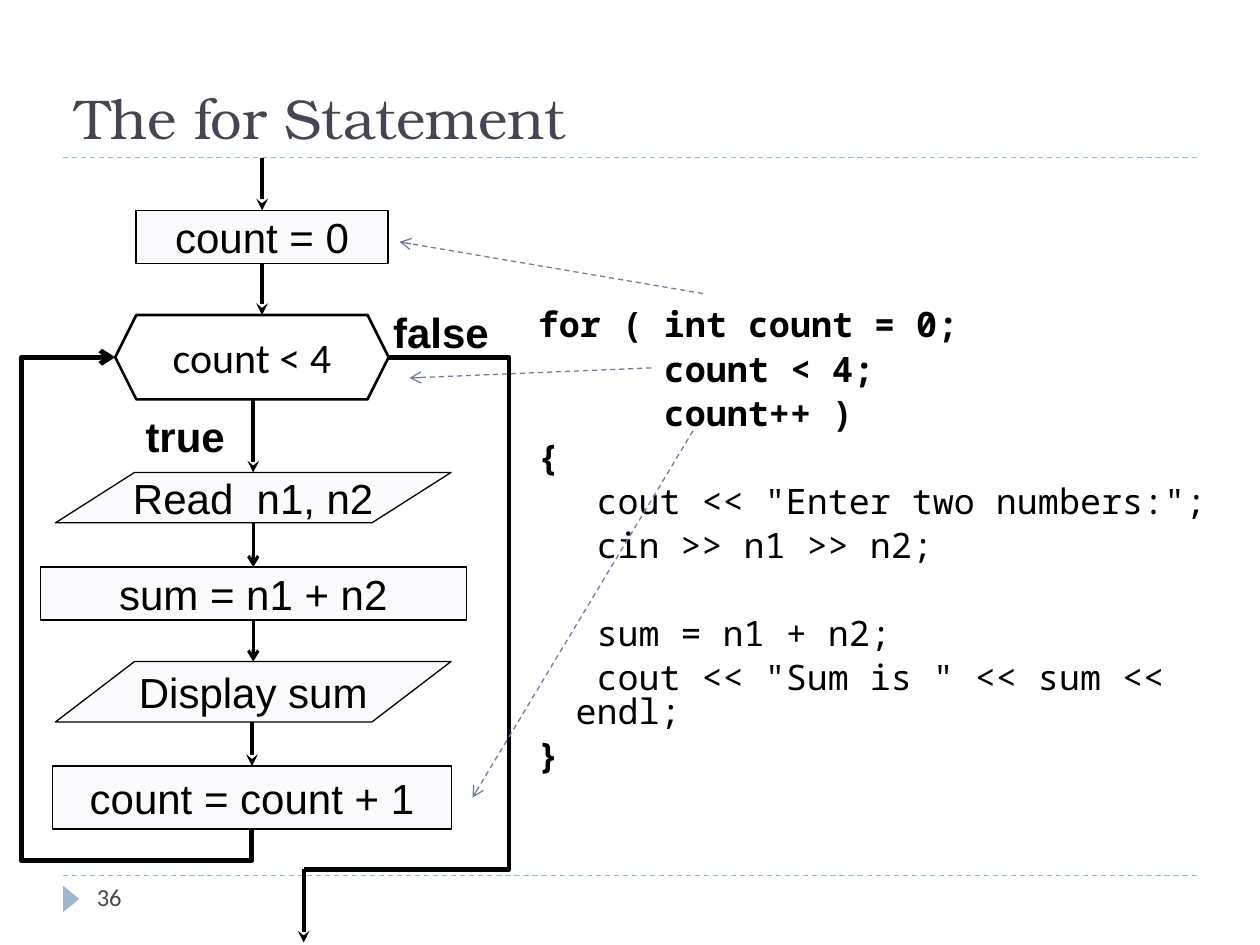
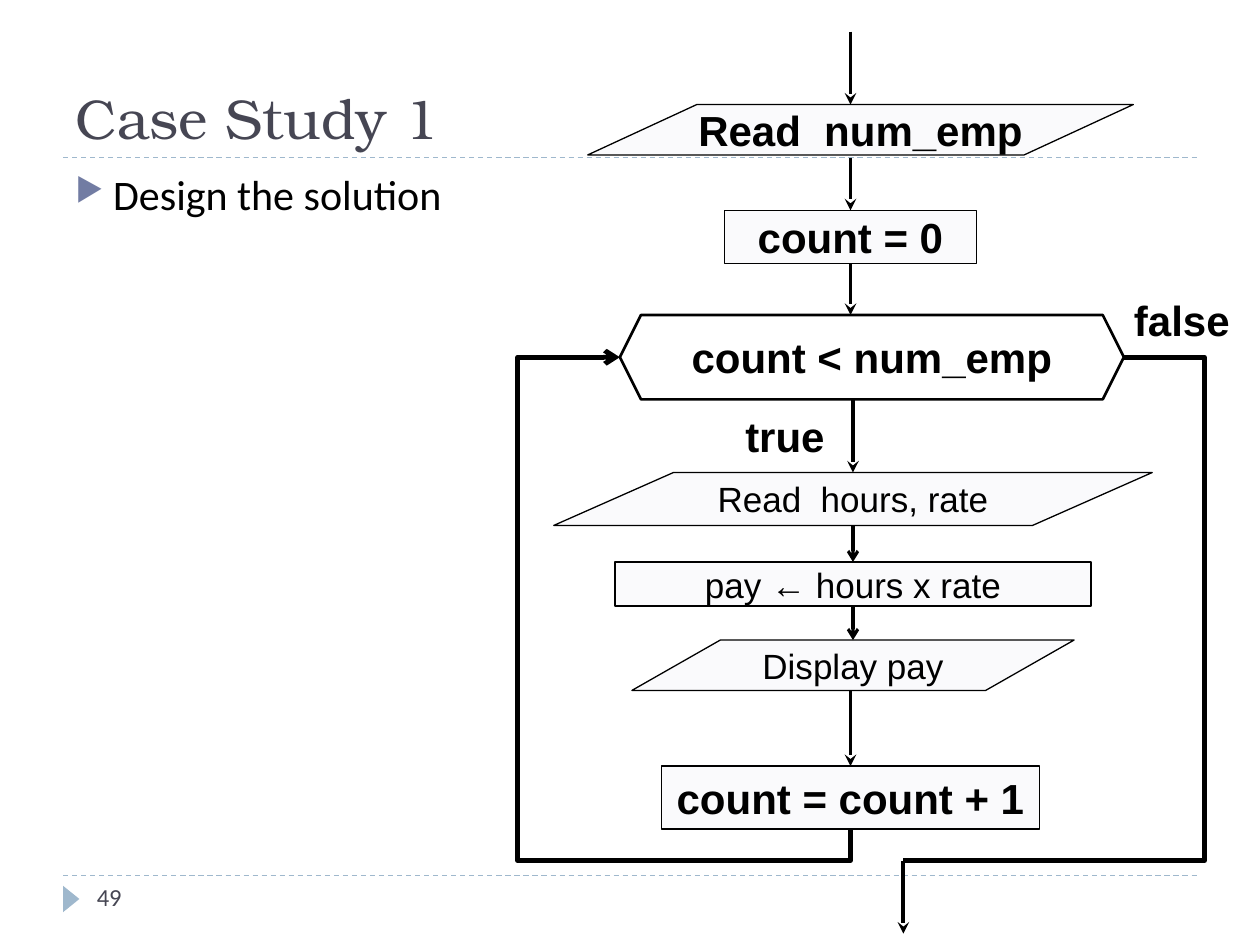
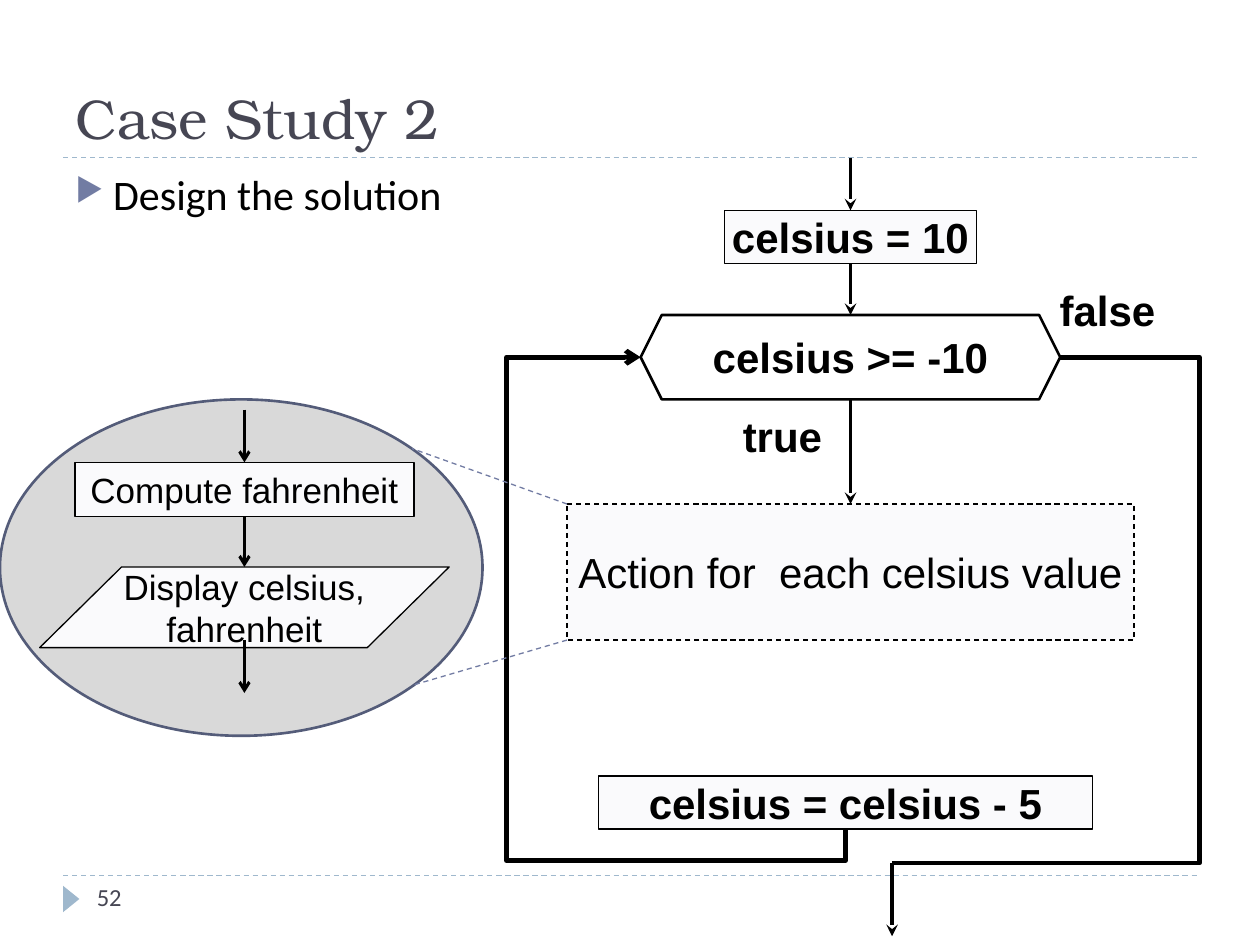
import lxml.etree
import pptx
import pptx.dml.color
import pptx.enum.dml
import pptx.enum.shapes
import pptx.enum.text
import pptx.oxml.ns
import pptx.util

Inches, Pt = pptx.util.Inches, pptx.util.Pt
qn = pptx.oxml.ns.qn
SHAPE = pptx.enum.shapes.MSO_SHAPE
CONNECTOR = pptx.enum.shapes.MSO_CONNECTOR
ANCHOR = pptx.enum.text.MSO_ANCHOR
ALIGN = pptx.enum.text.PP_ALIGN
DASH = pptx.enum.dml.MSO_LINE.DASH

COLORS = {"ink": "000000", "title": "464653", "rule": "9FB8CD", "accent": "727CA3",
          "box": "FAFAFC", "bubble": "D9D9D9", "bubble edge": "545C79"}
TITLE_FONT, BODY_FONT, FLOW_FONT, CODE_FONT = "TeX Gyre Bonum", "Calibri", "Arial", "Noto Sans Mono"

# kind: preset shape, fill, line width
NODES = {
    "process": (SHAPE.FLOWCHART_PROCESS, "box", 0.75),
    "action": (SHAPE.FLOWCHART_PROCESS, "box", 0.75),
    "data": (SHAPE.FLOWCHART_DATA, "box", 0.75),
    "test": (SHAPE.HEXAGON, None, 1.5),
    "label": (SHAPE.FLOWCHART_PROCESS, None, None),
}
# kind: colour, width, dashed, arrowhead
LINES = {
    "flow": ("ink", 2.25, False, "stealth"),
    "step": ("ink", 1.75, False, "arrow"),
    "loop": ("ink", 2.75, False, "arrow"),
    "exit": ("ink", 2.75, False, None),
    "note": ("accent", 0.75, True, "arrow"),
    "zoom": ("accent", 0.75, True, None),
    "rule": ("rule", 0.75, True, None),
}

FOR_HEAD = ["for ( int count = 0;", "      count < 4;", "      count++ )", "{"]
FOR_BODY = [' cout << "Enter two numbers:";', " cin >> n1 >> n2;", "",
            " sum = n1 + n2;", ' cout << "Sum is " << sum << endl;']
FOR_CODE = [*FOR_HEAD, *FOR_BODY, "}"]

# Steps are kind, text, top, width, height; all are centred on the x beside them.
SLIDES = [
    {
        "title": "The for Statement", "number": "36", "code": FOR_CODE,
        "bold": False, "test_font": BODY_FONT, "step_size": 24,
        "init": ("count = 0", 2.08), "test": ("count < 4", 2, 2.17),
        "update": ("count = count + 1", 2, 3.17, 0.5),
        "axis": 2.01,
        "steps": [("data", "Read  n1, n2", 3.75, 3.14, 0.4),
                  ("process", "sum = n1 + n2", 4.5, 3.38, 0.42),
                  ("data", "Display sum", 5.25, 3.14, 0.48)],
        "false": (3.5, 2.42), "lanes": (0.17, 4.04), "exit": (2.41, 6.9),
        "notes": [("note", 5.58, 2.33, 3.17, 1.92), ("note", 5.17, 2.92, 3.25, 3),
                  ("note", 5.5, 3.42, 3.75, 6.33)],
    },
    {
        "title": "Case Study 1", "number": "49", "bullet": "Design the solution",
        "bold": True, "test_font": FLOW_FONT, "step_size": 20,
        "input": ("Read  num_emp", 6.83, 4.33),
        "init": ("count = 0", 6.75), "test": ("count < num_emp", 6.92, 4),
        "update": ("count = count + 1", 6.75, 3, 0.5),
        "axis": 6.77,
        "steps": [("data", "Read  hours, rate", 3.75, 4.75, 0.42),
                  ("process", "pay ← hours x rate", 4.46, 3.78, 0.35),
                  ("data", "Display pay", 5.08, 3.51, 0.4)],
        "false": (9.38, 2.33), "lanes": (4.11, 9.56), "exit": (7.17, 6.83),
    },
    {
        "title": "Case Study 2", "number": "52", "bullet": "Design the solution",
        "bold": True, "test_font": FLOW_FONT, "step_size": 24,
        "init": ("celsius = 10", 6.75), "test": ("celsius >= -10", 6.75, 3.33),
        "update": ("celsius = celsius - 5", 6.71, 3.92, 0.42),
        "axis": 6.75,
        "steps": [("action", "Action for  each celsius value", 4, 4.5, 1.08)],
        "false": (8.79, 2.25), "lanes": (4.02, 9.52), "exit": (7.08, 6.85),
        "bubble": (0, 3.17, 3.83, 2.67), "bubble_axis": 1.94,
        "bubble_steps": [("process", "Compute fahrenheit", 3.67, 2.69, 0.43),
                         ("data", "Display celsius,\nfahrenheit", 4.5, 3.25, 0.64)],
        "notes": [("zoom", 4.5, 4, 3.27, 3.56), ("zoom", 4.5, 5.08, 3.27, 5.44)],
    },
]
TITLE_RULE, FOOTER_RULE = 1.25, 6.95
INPUT_TOP, INIT_TOP, TEST_TOP, TRUE_TOP, UPDATE_BOTTOM = 0.83, 1.67, 2.5, 3.25, 6.58
BOX_HEIGHT, INPUT_HEIGHT, TEST_HEIGHT, BOX_WIDTH = 0.42, 0.4, 0.67, 2
TEST_Y = TEST_TOP + TEST_HEIGHT / 2
LOOP_DROP, OUTER_ARROW, ENTRY_ARROW = 0.25, 0.58, 0.42


def rgb(name):
    return pptx.dml.color.RGBColor.from_string(COLORS[name])


def set_font(paragraph, face, size, color="ink", bold=False):
    font = paragraph.font
    font.name, font.size, font.bold = face, Pt(size), bold
    font.color.rgb = rgb(color)


def set_indent(paragraph, margin, first):
    properties = paragraph._p.get_or_add_pPr()
    properties.set("marL", str(Inches(margin)))
    properties.set("indent", str(Inches(first)))
    return properties


def add_shape(slide, preset, place, fill, edge=None, width=None):
    shape = slide.shapes.add_shape(preset, *map(Inches, place))
    shape.shadow.inherit = False
    if fill:
        shape.fill.solid()
        shape.fill.fore_color.rgb = rgb(fill)
    else:
        shape.fill.background()
    if width:
        shape.line.color.rgb = rgb(edge)
        shape.line.width = Pt(width)
    else:
        shape.line.fill.background()
    return shape


def add_node(slide, kind, text, x, top, width, height, size=24, bold=False, face=FLOW_FONT):
    """Draw a node centred on x; return what the arrows need to know of it."""
    preset, fill, edge_width = NODES[kind]
    node = add_shape(slide, preset, (x - width / 2, top, width, height), fill, "ink", edge_width)
    if kind == "action":
        node.line.dash_style = DASH
    frame = node.text_frame
    frame.text = text
    frame.word_wrap = kind == "test"
    frame.vertical_anchor = ANCHOR.MIDDLE
    for paragraph in frame.paragraphs:
        paragraph.alignment = ALIGN.CENTER
        set_font(paragraph, face, size, bold=bold)
    return {"shape": node, "x": x, "top": top, "bottom": top + height,
            "joins": kind in ("process", "action")}


def add_line(slide, kind, x1, y1, x2, y2, route=CONNECTOR.STRAIGHT):
    color, width, dashed, head = LINES[kind]
    line = slide.shapes.add_connector(route, *map(Inches, (x1, y1, x2, y2)))
    line.line.color.rgb = rgb(color)
    line.line.width = Pt(width)
    if dashed:
        line.line.dash_style = DASH
    properties = line._element.spPr
    if head:
        lxml.etree.SubElement(properties.find(qn("a:ln")), qn("a:tailEnd"), type=head)
    lxml.etree.SubElement(properties, qn("a:effectLst"))
    return line


def link(slide, kind, upper, lower, axis):
    """Draw an arrow down from one node to the next, joined to rectangles."""
    x = next((node["x"] for node in (upper, lower) if node["joins"]), axis)
    arrow = add_line(slide, kind, x, upper["bottom"], x, lower["top"])
    if upper["joins"]:
        arrow.begin_connect(upper["shape"], 2)
    if lower["joins"]:
        arrow.end_connect(lower["shape"], 0)


def enter(slide, kind, node, length):
    arrow = add_line(slide, kind, node["x"], node["top"] - length, node["x"], node["top"])
    arrow.end_connect(node["shape"], 0)


def bend(line, preset, *ratios):
    """Give a connector its preset route and the ratios that place its bends."""
    geometry = line._element.spPr.find(qn("a:prstGeom"))
    geometry.set("prst", preset)
    guides = geometry.find(qn("a:avLst"))
    if guides is None:
        guides = lxml.etree.SubElement(geometry, qn("a:avLst"))
    for number, ratio in enumerate(ratios, 1):
        lxml.etree.SubElement(guides, qn("a:gd"), name=f"adj{number}",
                              fmla=f"val {round(ratio * 100000)}")


def add_loop(slide, x, y, lane, end_x):
    """Lead from below the last step round the left lane back to the test."""
    width, height = y - TEST_Y, x - end_x
    left = (x + end_x - width) / 2
    top = (y + TEST_Y - height) / 2
    loop = add_line(slide, "loop", left, top, left + width, top + height, CONNECTOR.ELBOW)
    frame = loop._element.spPr.find(qn("a:xfrm"))
    frame.set("rot", str(90 * 60000))
    frame.set("flipH", "1")
    bend(loop, "bentConnector4", -LOOP_DROP / width, (x - lane) / height)


def add_exit(slide, x, lane, end_x, end_y):
    way_out = add_line(slide, "exit", x, TEST_Y, end_x, end_y, CONNECTOR.ELBOW)
    bend(way_out, "bentConnector3", (x - lane) / (x - end_x))
    add_line(slide, "flow", end_x, end_y, end_x, end_y + OUTER_ARROW)


def add_text_box(slide, place):
    frame = slide.shapes.add_textbox(*map(Inches, place)).text_frame
    frame.word_wrap = True
    return frame


def add_frame(slide, title, number):
    """Title, the two rules, the footer marker and the slide number."""
    heading = slide.shapes.title
    heading.left, heading.top, heading.width, heading.height = map(Inches, (0.5, 0.17, 9, 1.08))
    heading.text_frame.text = title
    heading.text_frame.vertical_anchor = ANCHOR.BOTTOM
    heading.text_frame.paragraphs[0].alignment = ALIGN.LEFT
    set_font(heading.text_frame.paragraphs[0], TITLE_FONT, 32, "title")
    for y in (TITLE_RULE, FOOTER_RULE):
        add_line(slide, "rule", 0.5, y, 9.5, y)
    marker = add_shape(slide, SHAPE.ISOSCELES_TRIANGLE, (0.46, 7.07, 0.21, 0.13), "rule")
    marker.rotation = 90
    footer = add_text_box(slide, (0.67, FOOTER_RULE, 2.17, 0.4))
    footer.text = number
    set_font(footer.paragraphs[0], BODY_FONT, 14, "title")


def add_code(slide, code):
    """Set the code; an empty line becomes space before the next one."""
    frame = add_text_box(slide, (4.17, 2.42, 5.83, 3.5))
    frame.text = "\n".join(filter(None, code))
    paragraphs = iter(frame.paragraphs)
    space = 0
    for text in code:
        if not text:
            space += 25
            continue
        paragraph = next(paragraphs)
        inner = text in FOR_BODY
        set_indent(paragraph, 0.3, 0 if inner else -0.3)
        paragraph.line_spacing = 0.8
        paragraph.space_before = Pt(space)
        set_font(paragraph, CODE_FONT, 20, bold=not inner)
        space = 6


def add_bullet(slide, text):
    frame = add_text_box(slide, (0.5, 1.33, 9, 5.4))
    frame.text = text
    paragraph = frame.paragraphs[0]
    paragraph.line_spacing = 0.9
    properties = set_indent(paragraph, 0.3, -0.3)
    color = lxml.etree.SubElement(properties, qn("a:buClr"))
    lxml.etree.SubElement(color, qn("a:srgbClr"), val=COLORS["accent"])
    lxml.etree.SubElement(properties, qn("a:buSzPct"), val="76000")
    lxml.etree.SubElement(properties, qn("a:buChar"), char="▶")
    set_font(paragraph, BODY_FONT, 24)


def add_steps(slide, steps, axis, size):
    nodes = [add_node(slide, kind, text, axis, *place, size) for kind, text, *place in steps]
    for upper, lower in zip(nodes, nodes[1:]):
        link(slide, "step", upper, lower, axis)
    return nodes


def add_flow(slide, content):
    """Draw the loop: start value, test, repeated steps, update and ways out."""
    bold, axis = content["bold"], content["axis"]
    text, init_x = content["init"]
    init = add_node(slide, "process", text, init_x, INIT_TOP, BOX_WIDTH, BOX_HEIGHT, bold=bold)
    text, test_x, test_width = content["test"]
    test = add_node(slide, "test", text, test_x, TEST_TOP, test_width, TEST_HEIGHT,
                    bold=bold, face=content["test_font"])
    steps = add_steps(slide, content["steps"], axis, content["step_size"])
    text, update_x, width, height = content["update"]
    update = add_node(slide, "process", text, update_x, UPDATE_BOTTOM - height, width, height,
                      bold=bold)
    for text, x, top in (("true", axis - 0.54, TRUE_TOP), ("false", *content["false"])):
        add_node(slide, "label", text, x, top, BOX_WIDTH, BOX_HEIGHT, bold=True)

    enter(slide, "flow", init, INIT_TOP - TITLE_RULE)
    link(slide, "flow", init, test, axis)
    link(slide, "flow", test, steps[0], axis)
    if not steps[-1]["joins"]:
        link(slide, "flow", steps[-1], update, axis)
    if "input" in content:
        text, x, width = content["input"]
        add_node(slide, "data", text, x, INPUT_TOP, width, INPUT_HEIGHT, bold=bold)
        add_line(slide, "flow", init_x, INPUT_TOP - OUTER_ARROW, init_x, INPUT_TOP)
    left_lane, right_lane = content["lanes"]
    add_loop(slide, update_x, UPDATE_BOTTOM, left_lane, test_x - test_width / 2)
    add_exit(slide, test_x + test_width / 2, right_lane, *content["exit"])


def add_bubble(slide, content):
    axis = content["bubble_axis"]
    add_shape(slide, SHAPE.OVAL, content["bubble"], "bubble", "bubble edge", 1.5)
    steps = add_steps(slide, content["bubble_steps"], axis, 20)
    enter(slide, "step", steps[0], ENTRY_ARROW)
    bottom = steps[-1]["bottom"] - 0.06
    add_line(slide, "step", axis, bottom, axis, bottom + ENTRY_ARROW)


def build_slide(deck, content):
    slide = deck.slides.add_slide(deck.slide_layouts[5])
    add_frame(slide, content["title"], content["number"])
    if "bubble" in content:
        add_bubble(slide, content)
    if "code" in content:
        add_code(slide, content["code"])
    if "bullet" in content:
        add_bullet(slide, content["bullet"])
    add_flow(slide, content)
    for note in content.get("notes", []):
        add_line(slide, *note)


def main():
    deck = pptx.Presentation()
    deck.slide_width, deck.slide_height = Inches(10), Inches(7.5)
    for content in SLIDES:
        build_slide(deck, content)
    deck.save("out.pptx")


if __name__ == "__main__":
    main()
